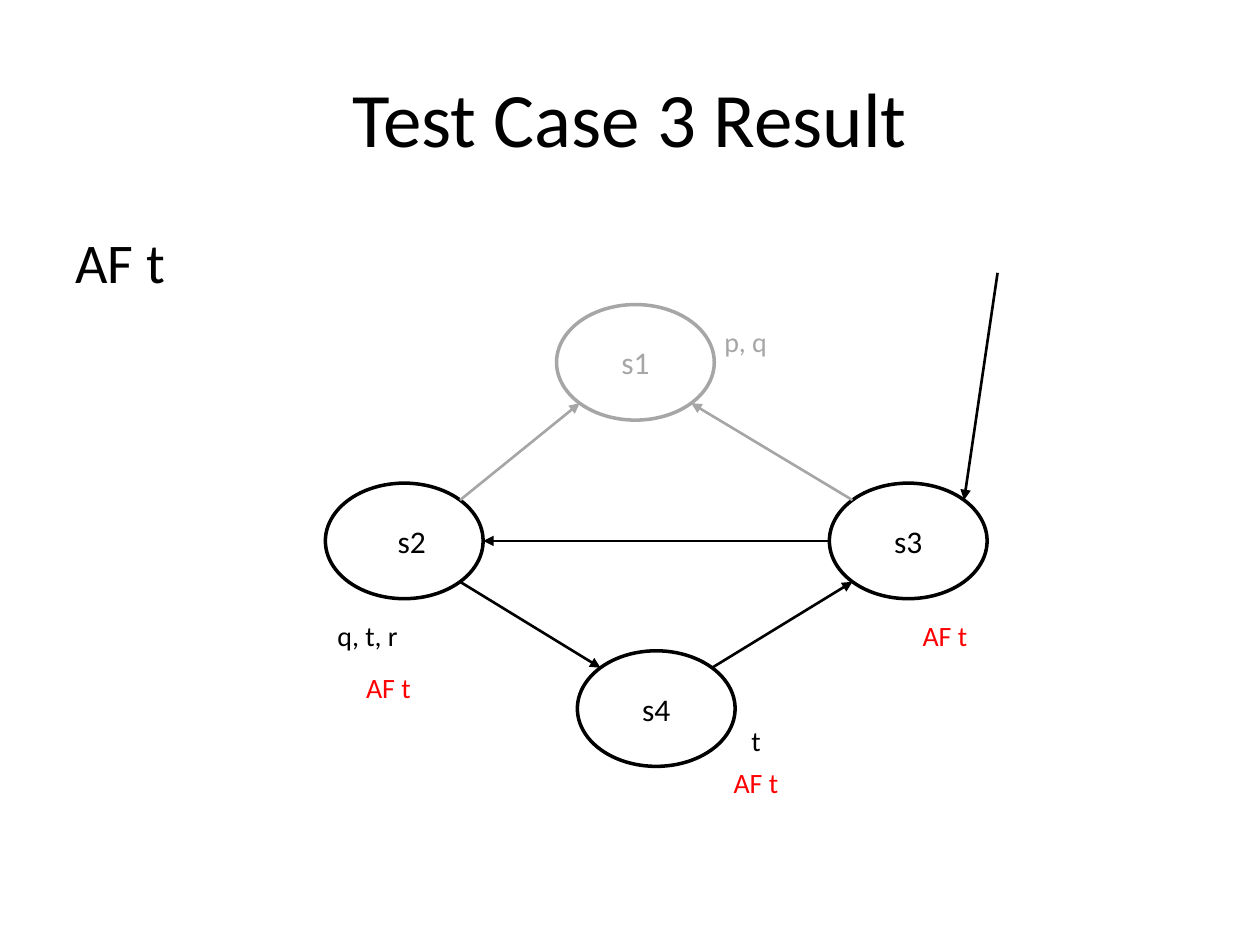
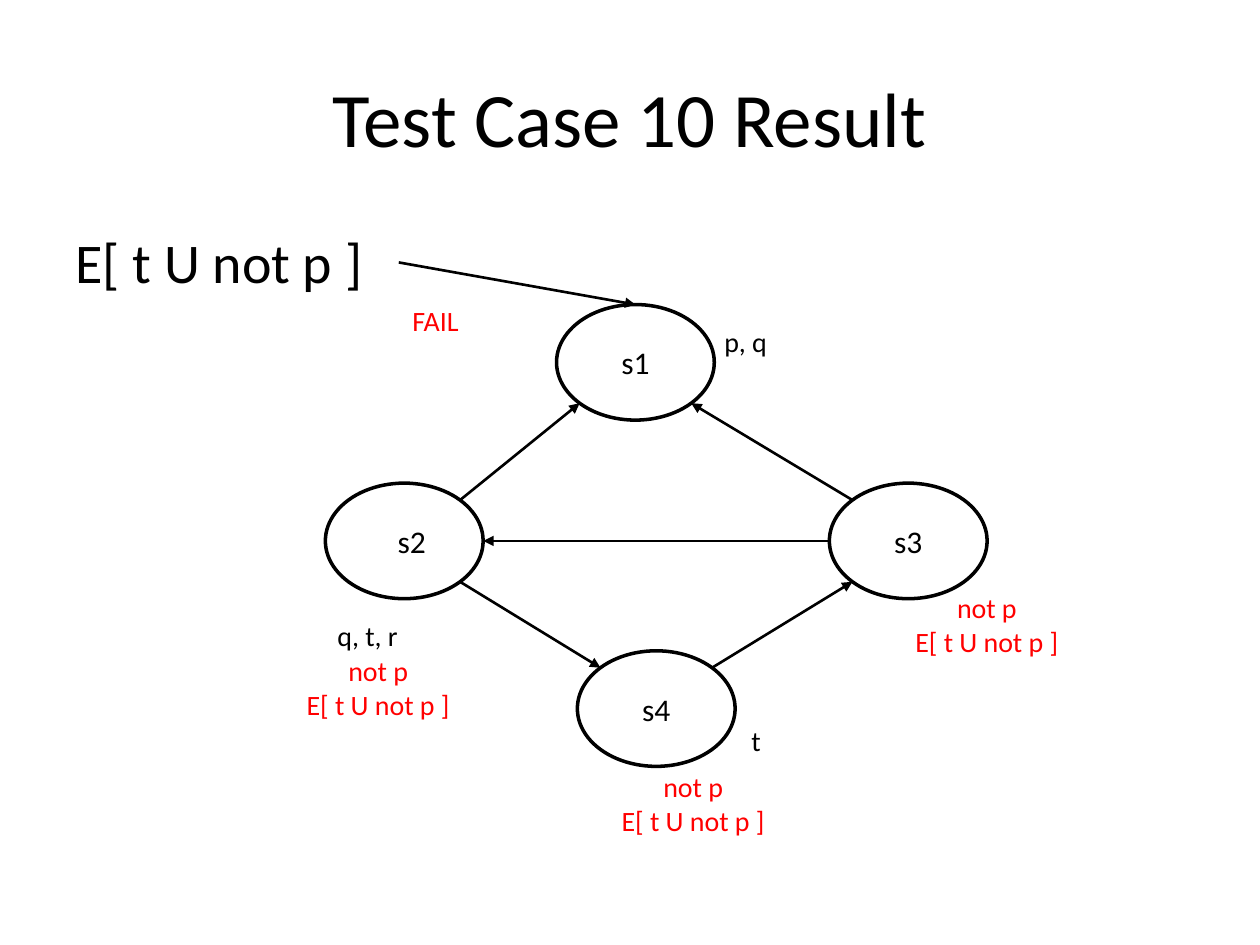
"""Build two model-checking result slides with state diagrams."""
from math import sqrt

from lxml.etree import SubElement
from pptx import Presentation
from pptx.dml.color import RGBColor
from pptx.enum.shapes import MSO_CONNECTOR, MSO_SHAPE
from pptx.enum.text import MSO_ANCHOR, PP_ALIGN
from pptx.oxml.ns import qn
from pptx.util import Cm, Pt

COLORS = {"ink": "000000", "paper": "FFFFFF", "faded": "A6A6A6", "mark": "FF0000"}
FRAME = {"word_wrap": True, "vertical_anchor": MSO_ANCHOR.MIDDLE}
PLACES = {
    "title": {"left": Cm(1.27), "top": Cm(0.76), "width": Cm(22.86), "height": Cm(3.18)},
    "formula": {"left": Cm(1.27), "top": Cm(4.45), "width": Cm(22.86), "height": Cm(12.57)},
}
STATE_W, STATE_H = 3.18, 2.33
LABEL_W, LABEL_H = 2.12, 1.48
DIAG = sqrt(0.5)
SIDES = {"top": (0, -1), "left": (-1, 0), "right": (1, 0),
         "top_left": (-DIAG, -DIAG), "top_right": (DIAG, -DIAG),
         "bottom_left": (-DIAG, DIAG), "bottom_right": (DIAG, DIAG)}
STATES = {"s4": (11.64, 13.12), "s3": (16.72, 9.74), "s2": (6.56, 9.74), "s1": (11.22, 6.14)}
EDGES = [("s2", "top_right", "s1", "bottom_left"),
         ("s3", "top_left", "s1", "bottom_right"),
         ("s4", "top_right", "s3", "bottom_left"),
         ("s2", "bottom_right", "s4", "top_left"),
         ("s3", "left", "s2", "right")]
PROPS = [("p, q", "s1", 13.97, 6.14), ("t", "s4", 14.18, 14.18), ("q, t, r", "s2", 6.35, 12.07)]
HOLDS = "not p\nE[ t U not p ]"
SLIDES = [
    {"title": "Test Case 3 Result", "formula": "AF t", "faded": ["s1"],
     "entry": (20.11, 5.5, "s3", "top_right"),
     "marks": [("AF t", 6.77, 13.12, LABEL_W), ("AF t", 14.18, 15.03, LABEL_W),
               ("AF t", 17.99, 12.07, LABEL_W)]},
    {"title": "Test Case 10 Result", "formula": "E[ t U not p ]", "faded": [],
     "entry": (8.04, 5.29, "s1", "top"),
     "marks": [(HOLDS, 17.99, 11.85, 3.81), ("FAIL", 7.41, 5.72, 2.74),
               (HOLDS, 12.07, 15.45, 3.81), (HOLDS, 5.72, 13.12, 3.81)]},
]


def write(tf, text, size, color, align=PP_ALIGN.CENTER):
    tf.text = text
    for p in tf.paragraphs:
        p.alignment = align
        p.space_before = Pt(0)
        for r in p.runs:
            for name, value in {"name": "Calibri", "size": Pt(size)}.items():
                setattr(r.font, name, value)
            r.font.color.rgb = RGBColor.from_string(COLORS[color])


def site(state, side):
    x, y = STATES[state]
    dx, dy = SIDES[side]
    return x + STATE_W / 2 * (1 + dx), y + STATE_H / 2 * (1 + dy)


prs = Presentation()
prs.slide_width, prs.slide_height = Cm(25.4), Cm(19.05)

for data in SLIDES:
    s = prs.slides.add_slide(prs.slide_layouts[1])
    title, body = s.placeholders
    for sp, key, size, align in [(title, "title", 44, PP_ALIGN.CENTER),
                                 (body, "formula", 32, PP_ALIGN.LEFT)]:
        for name, value in PLACES[key].items():
            setattr(sp, name, value)
        write(sp.text_frame, data[key], size, "ink", align)
    SubElement(body.text_frame.paragraphs[0]._p.get_or_add_pPr(), qn("a:buNone"))

    tones = {state: "faded" if state in data["faded"] else "ink" for state in STATES}
    for state, (x, y) in STATES.items():
        sp = s.shapes.add_shape(MSO_SHAPE.OVAL, Cm(x), Cm(y), Cm(STATE_W), Cm(STATE_H))
        sp.shadow.inherit = False
        sp.fill.solid()
        sp.fill.fore_color.rgb = RGBColor.from_string(COLORS["paper"])
        sp.line.color.rgb = RGBColor.from_string(COLORS[tones[state]])
        sp.line.width = Pt(2)
        for name, value in FRAME.items():
            setattr(sp.text_frame, name, value)
        if state == "s2":
            sp.text_frame.margin_left = Cm(0.55)
        write(sp.text_frame, state, 18, tones[state])

    x, y, state, side = data["entry"]
    arrows = [(site(a, a_side), site(b, b_side), tones[b]) for a, a_side, b, b_side in EDGES]
    arrows.append(((x, y), site(state, side), "ink"))
    for start, end, tone in arrows:
        cx = s.shapes.add_connector(MSO_CONNECTOR.STRAIGHT, *map(Cm, start + end))
        cx.line.color.rgb = RGBColor.from_string(COLORS[tone])
        cx.line.width = Pt(1.5)
        SubElement(cx.line._get_or_add_ln(), qn("a:tailEnd"), type="triangle")
        SubElement(cx._element.spPr, qn("a:effectLst"))

    labels = [(text, x, y, LABEL_W, tones[state]) for text, state, x, y in PROPS]
    labels += [(*mark, "mark") for mark in data["marks"]]
    for text, x, y, width, tone in labels:
        tf = s.shapes.add_textbox(Cm(x), Cm(y), Cm(width), Cm(LABEL_H)).text_frame
        for name, value in FRAME.items():
            setattr(tf, name, value)
        write(tf, text, 16, tone)

prs.save("out.pptx")
